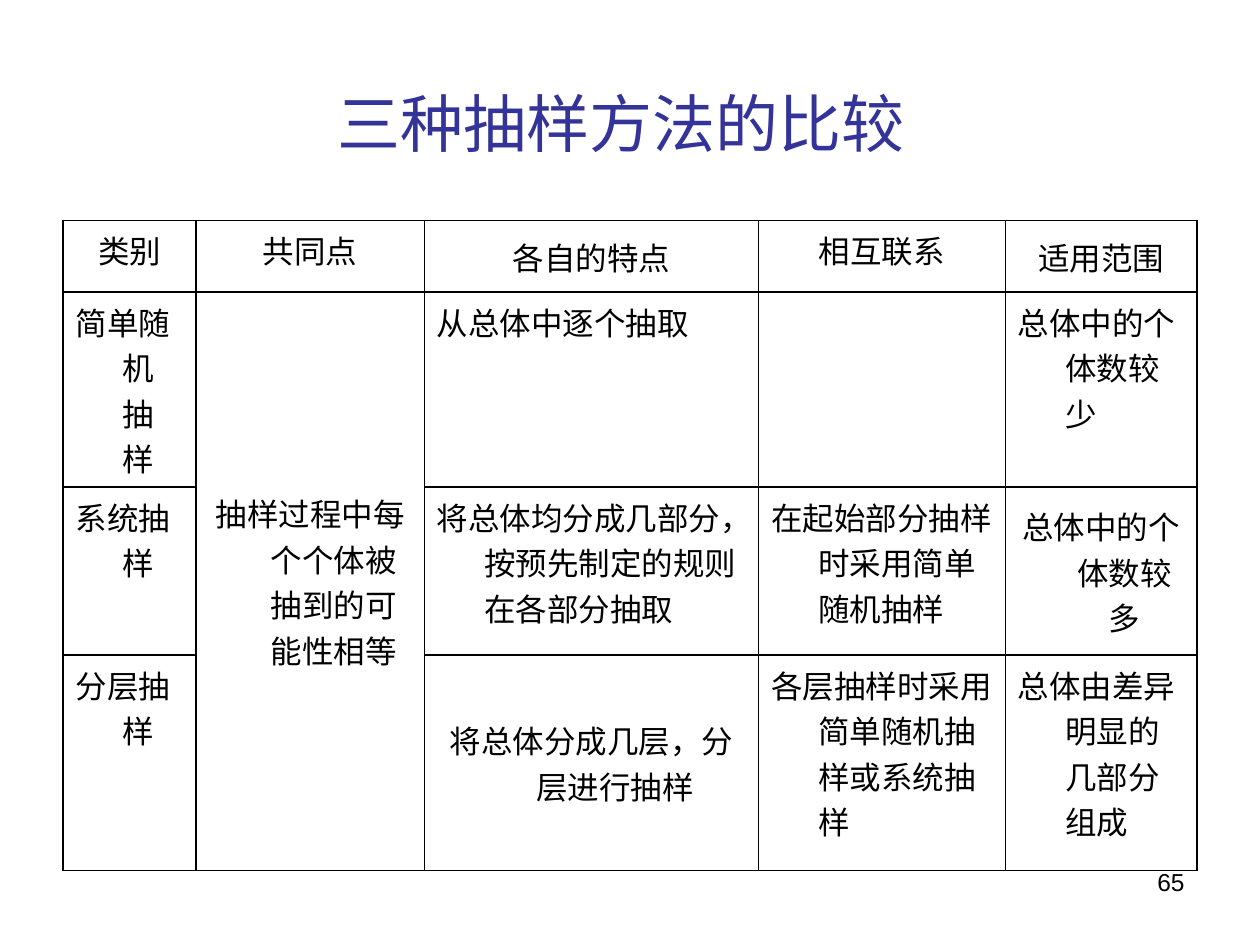
from lxml.etree import SubElement
from pptx import Presentation
from pptx.dml.color import RGBColor
from pptx.enum.text import MSO_ANCHOR, PP_ALIGN
from pptx.oxml.ns import qn
from pptx.util import Pt

CJK = "Noto Sans CJK SC"


def style(r, size, color, font):
    """Set a run's size, colour and typefaces."""
    r.font.size = Pt(size)
    r.font.name = font
    r.font.color.rgb = RGBColor.from_string(color)
    SubElement(r._r.get_or_add_rPr(), qn("a:ea"), typeface=CJK)


def outline(cell):
    """Draw a 1 pt black border on all sides of a cell."""
    tcPr = cell._tc.get_or_add_tcPr()
    for i, side in enumerate(("lnL", "lnR", "lnT", "lnB")):
        ln = tcPr.makeelement(qn("a:" + side), {"w": str(Pt(1))})
        fill = SubElement(ln, qn("a:solidFill"))
        SubElement(fill, qn("a:srgbClr"), val="000000")
        tcPr.insert(i, ln)


prs = Presentation()
prs.slide_width, prs.slide_height = Pt(720), Pt(540)
s = prs.slides.add_slide(prs.slide_layouts[5])

title = s.shapes.title
title.left, title.top, title.width, title.height = Pt(36), Pt(21.6), Pt(648), Pt(90)
tf = title.text_frame
tf.vertical_anchor = MSO_ANCHOR.MIDDLE
p = tf.paragraphs[0]
p.alignment = PP_ALIGN.CENTER
for text, size in (("三种抽样方法的比较", 36), (" ", 44)):
    r = p.add_run()
    r.text = text
    style(r, size, "333399", "Arial")

rows = [
    ["类别", "共同点", "各自的特点", "相互联系", "适用范围"],
    ["简单随机抽样", "抽样过程中每个个体被抽到的可能性相等",
     "从总体中逐个抽取", "", "总体中的个体数较少"],
    ["系统抽样", "", "将总体均分成几部分，按预先制定的规则在各部分抽取",
     "在起始部分抽样时采用简单随机抽样", "总体中的个体数较多"],
    ["分层抽样", "", "将总体分成几层，分层进行抽样",
     "各层抽样时采用简单随机抽样或系统抽样", "总体由差异明显的几部分组成"],
]
col_widths = [76, 130.5, 191, 141, 109.5]
row_heights = [41, 96, 96, 123]
middle = {(0, 2), (0, 4), (1, 1), (2, 4), (3, 2)}
centered = middle | {(0, 0), (0, 1), (0, 3)}

table = s.shapes.add_table(4, 5, Pt(36), Pt(126), Pt(648), Pt(356)).table
table.first_row = table.horz_banding = False
for col, width in zip(table.columns, col_widths):
    col.width = Pt(width)
for row, height in zip(table.rows, row_heights):
    row.height = Pt(height)
table.cell(1, 1).merge(table.cell(3, 1))

for i, row in enumerate(rows):
    for j, text in enumerate(row):
        cell = table.cell(i, j)
        cell.fill.background()
        outline(cell)
        if (i, j) in middle:
            cell.vertical_anchor = MSO_ANCHOR.MIDDLE
        if not text:
            continue
        p = cell.text_frame.paragraphs[0]
        p.text = text
        p.alignment = PP_ALIGN.CENTER if (i, j) in centered else PP_ALIGN.LEFT
        pPr = p._p.get_or_add_pPr()
        pPr.set("marL", str(Pt(27)))
        pPr.set("indent", str(-Pt(27)))
        style(p.runs[0], 18, "000000", CJK)

number = s.shapes.add_textbox(Pt(516), Pt(492), Pt(168), Pt(37.5))
tf = number.text_frame
tf.word_wrap = True
tf.text = "65"
p = tf.paragraphs[0]
p.alignment = PP_ALIGN.RIGHT
style(p.runs[0], 14, "000000", "Arial")

prs.save("out.pptx")
